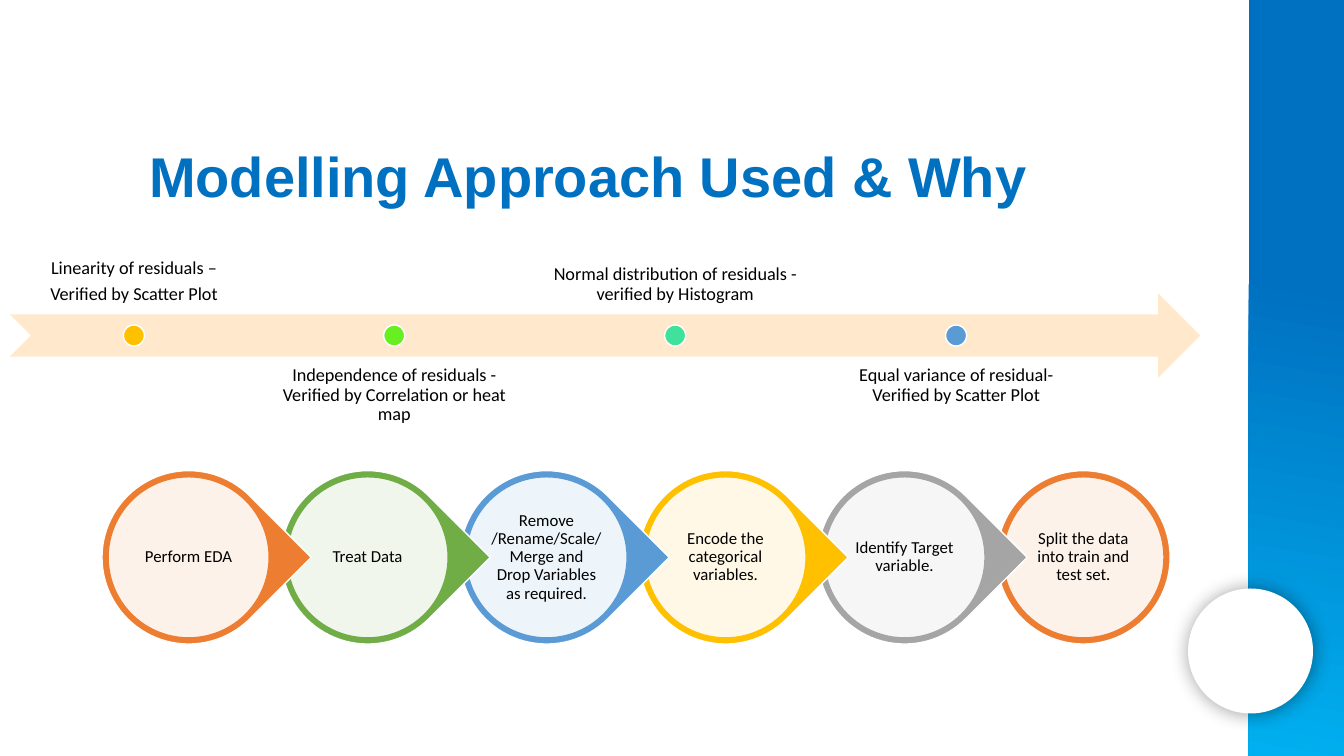
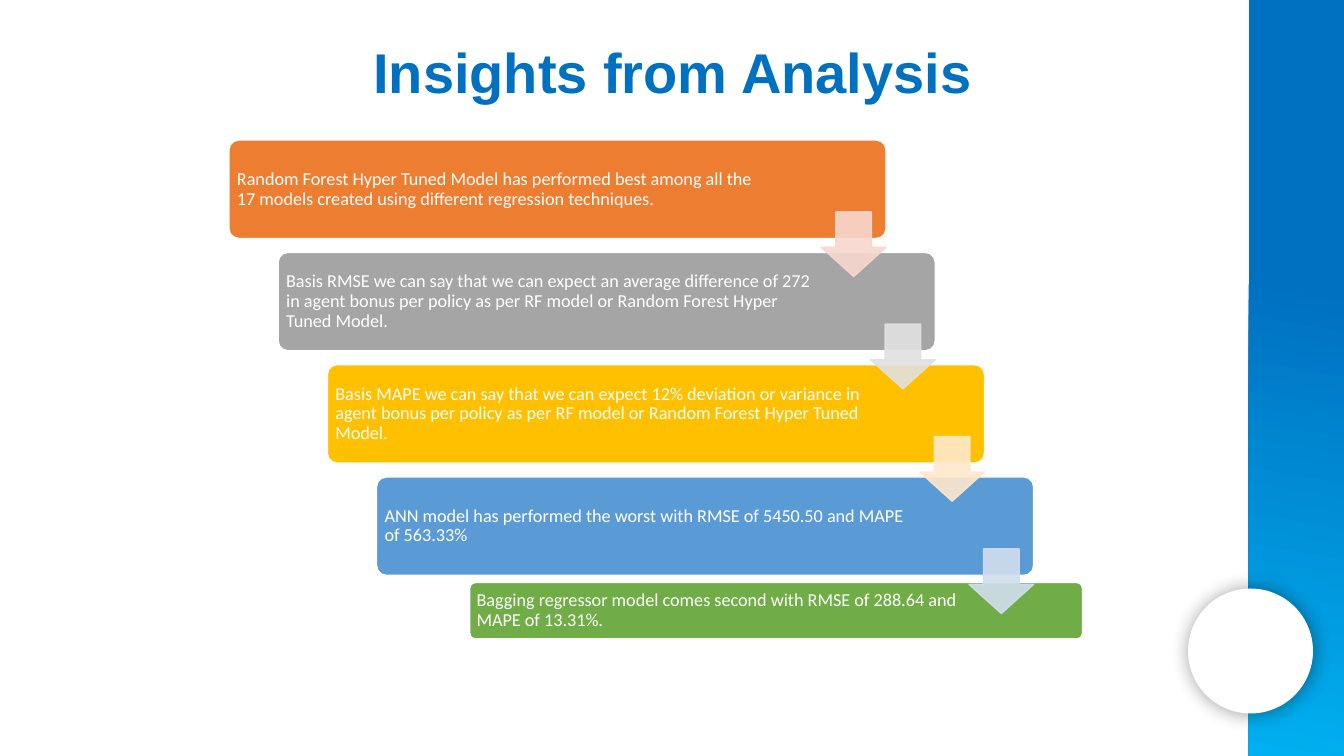
from dataclasses import dataclass

from lxml.etree import SubElement
from pptx import Presentation
from pptx.dml.color import RGBColor
from pptx.enum.shapes import MSO_SHAPE as Preset
from pptx.enum.text import MSO_ANCHOR as Anchor, PP_ALIGN as Align
from pptx.oxml.ns import qn
from pptx.util import Cm, Pt


@dataclass(frozen=True)
class Theme:
    # Colours
    title: str = "0070C0"
    band_end: str = "00B0F0"
    black: str = "000000"
    white: str = "FFFFFF"
    orange: str = "ED7D31"
    green: str = "70AD47"
    blue: str = "5B9BD5"
    gold: str = "FFC000"
    grey: str = "A5A5A5"
    lime: str = "67EF21"
    mint: str = "3FE19B"
    pale_orange: str = "F8D7CE"
    pale_grey: str = "E1E1E1"
    pale_gold: str = "FFE8CC"
    pale_blue: str = "D2DEEF"
    # Fonts and type sizes
    title_font: str = "Arial"
    body_font: str = "Calibri"
    title_size: int = 40
    label_size: int = 13
    step_size: int = 12


THEME = Theme()


def paint(fill, colour, opacity=100):
    """Solid fill, optionally see-through."""
    fill.solid()
    fill.fore_color.rgb = RGBColor.from_string(colour)
    if opacity < 100:
        tint = fill._xPr.find(qn("a:solidFill"))[0]
        SubElement(tint, qn("a:alpha"), val=str(opacity * 1000))


def write_text(frame, text, *, size=THEME.label_size, font=THEME.body_font,
               colour=THEME.black, bold=False, align=Align.LEFT,
               anchor=Anchor.TOP, insets=(0.25, 0.25, 0.25, 0.25),
               line_spacing=0.9):
    """Fill a text frame; each line of text becomes a paragraph."""
    frame.word_wrap = True
    frame.vertical_anchor = anchor
    (frame.margin_left, frame.margin_top,
     frame.margin_right, frame.margin_bottom) = map(Cm, insets)
    lines = text.split("\n")
    for index, line in enumerate(lines):
        paragraph = frame.paragraphs[0] if index == 0 else frame.add_paragraph()
        paragraph.alignment = align
        paragraph.line_spacing = line_spacing
        if index < len(lines) - 1:
            paragraph.space_after = Pt(0.35 * size)
        run = paragraph.add_run()
        run.text = line
        run.font.name = font
        run.font.size = Pt(size)
        run.font.bold = bold
        run.font.color.rgb = RGBColor.from_string(colour)


class Deck:
    """Holds the presentation, its theme and the current slide."""

    def __init__(self, theme):
        self.theme = theme
        self.presentation = Presentation()
        self.presentation.slide_width = Cm(33.87)
        self.presentation.slide_height = Cm(19.05)
        self.slide = None

    def shape(self, preset, left, top, width, height, fill, *,
              line=None, opacity=100, line_opacity=100):
        shape = self.slide.shapes.add_shape(
            preset, Cm(left), Cm(top), Cm(width), Cm(height))
        shape.shadow.inherit = False
        paint(shape.fill, fill, opacity)
        if line:
            paint(shape.line.fill, line, line_opacity)
            shape.line.width = Pt(1)
        else:
            shape.line.fill.background()
        return shape

    def text(self, text, left, top, width, height, **text_format):
        box = self.slide.shapes.add_textbox(
            Cm(left), Cm(top), Cm(width), Cm(height))
        write_text(box.text_frame, text, **text_format)

    def new_slide(self):
        """Start a slide with the side band and the shadowed disc."""
        blank = self.presentation.slide_layouts[6]
        self.slide = self.presentation.slides.add_slide(blank)
        band = self.shape(Preset.RECTANGLE, 31.47, 0, 2.4, 19.05,
                          self.theme.title)
        band.fill.gradient()
        band.fill.gradient_angle = 260
        stops = ((0.37, self.theme.title), (1, self.theme.band_end))
        for stop, (position, colour) in zip(band.fill.gradient_stops, stops):
            stop.position = position
            stop.color.rgb = RGBColor.from_string(colour)
        disc = self.shape(Preset.OVAL, 29.94, 14.83, 3.15, 3.15,
                          self.theme.white)
        effects = disc._element.spPr.find(qn("a:effectLst"))
        shadow = SubElement(effects, qn("a:outerShdw"), blurRad=str(Pt(14)),
                            dist=str(Pt(1)), dir=str(43 * 60000))
        tint = SubElement(shadow, qn("a:srgbClr"), val=self.theme.black)
        SubElement(tint, qn("a:alpha"), val="40000")

    def title(self, text, left, top, width, align=Align.LEFT):
        self.text(text, left, top, width, 1.96, size=self.theme.title_size,
                  font=self.theme.title_font, colour=self.theme.title,
                  bold=True, align=align, insets=(0.25, 0.13, 0.25, 0.13),
                  line_spacing=1.0)

    def timeline(self, milestones, left=0.25, top=7.39, height=2.13):
        """Notched arrow with labels alternating above and below it."""
        self.shape(Preset.NOTCHED_RIGHT_ARROW, left, top, 30, height,
                   self.theme.pale_gold)
        dot, gap = 0.53, 0.31
        for index, (label, colour, width) in enumerate(milestones):
            above = index % 2 == 0
            self.text(label, left, top - 1.6 if above else top + 1.58,
                      width, height, align=Align.CENTER,
                      anchor=Anchor.BOTTOM if above else Anchor.TOP)
            self.shape(Preset.OVAL, left + (width - dot) / 2,
                       top + (height - dot) / 2, dot, dot, colour,
                       line=self.theme.white)
            left += width + gap

    def process(self, steps, left=2.57, top=11.86, pitch=4.51):
        """Chain of drops, each pointing over the next; the last is round."""
        outer, inner = 4.37, 4.06
        rim = (outer - inner) / 2
        for index, (label, colour) in reversed(list(enumerate(steps))):
            last = index == len(steps) - 1
            x = left + index * pitch
            drop = self.shape(Preset.OVAL if last else Preset.TEAR, x, top,
                              outer, outer, colour, line=self.theme.white)
            drop.rotation = 0 if last else 45
            face = self.shape(Preset.OVAL, x + rim, top + rim, inner, inner,
                              self.theme.white, line=colour, opacity=90)
            write_text(face.text_frame, label, size=self.theme.step_size,
                       align=Align.CENTER, anchor=Anchor.MIDDLE,
                       insets=(0.04, 0.04, 0.04, 0.04))

    def card(self, text, left, top, width, height, colour):
        card = self.shape(Preset.ROUNDED_RECTANGLE, left, top, width, height,
                          colour, line=self.theme.white)
        card.adjustments[0] = 0.1
        write_text(card.text_frame, text, colour=self.theme.white,
                   anchor=Anchor.MIDDLE, insets=(0.13, 0.13, 2.97, 0.13))

    def down_arrow(self, left, top, colour):
        arrow = self.shape(Preset.DOWN_ARROW, left, top, 1.63, 1.63, colour,
                           line=colour, opacity=90, line_opacity=90)
        arrow.adjustments[0] = 0.55
        arrow.adjustments[1] = 0.45

    def staircase(self, insights, conclusion, left=5.77, top=3.53):
        """Cards stepping down to the right, linked by arrows."""
        step_x, step_y = 1.24, 2.83
        corners = [(left + i * step_x, top + i * step_y)
                   for i in range(len(insights))]
        for (x, y), (text, colour, _) in zip(corners, insights):
            self.card(text, x, y, 16.56, 2.48, colour)
        self.card(conclusion, 11.84, 14.68, 15.44, 1.42, self.theme.green)
        for (x, y), (_, _, pale) in zip(corners, insights):
            self.down_arrow(x + 14.93, y + 1.81, pale)


def main():
    deck = Deck(THEME)

    # Modelling approach
    deck.new_slide()
    deck.title("Modelling Approach Used & Why", 3.51, 3.43, 25.32)
    deck.timeline([
        ("Linearity of residuals –\nVerified by Scatter Plot",
         THEME.gold, 6.25),
        ("Independence of residuals - Verified by Correlation or heat map",
         THEME.lime, 6.25),
        ("Normal distribution of residuals - verified by Histogram",
         THEME.mint, 7.29),
        ("Equal variance of residual- Verified by Scatter Plot",
         THEME.blue, 6.25),
    ])
    deck.process([
        ("Perform EDA", THEME.orange),
        ("Treat Data", THEME.green),
        ("Remove /Rename/Scale/ Merge and Drop Variables as required.",
         THEME.blue),
        ("Encode the categorical variables.", THEME.gold),
        ("Identify Target variable.", THEME.grey),
        ("Split the data into train and test set.", THEME.orange),
    ])

    # Insights
    deck.new_slide()
    deck.title("Insights from Analysis", 3.99, 0.81, 25.91, Align.CENTER)
    deck.staircase(
        [
            ("Random Forest Hyper Tuned Model has performed best among all "
             "the 17 models created using different regression techniques.",
             THEME.orange, THEME.pale_orange),
            ("Basis RMSE we can say that we can expect an average difference "
             "of 272 in agent bonus per policy as per RF model or Random "
             "Forest Hyper Tuned Model.", THEME.grey, THEME.pale_grey),
            ("Basis MAPE we can say that we can expect 12% deviation or "
             "variance in agent bonus per policy as per RF model or Random "
             "Forest Hyper Tuned Model.", THEME.gold, THEME.pale_gold),
            ("ANN model has performed the worst with RMSE of 5450.50 and "
             "MAPE of 563.33%", THEME.blue, THEME.pale_blue),
        ],
        conclusion="Bagging regressor model comes second with RMSE of 288.64 "
                   "and MAPE of 13.31%.")

    deck.presentation.save("out.pptx")


if __name__ == "__main__":
    main()
